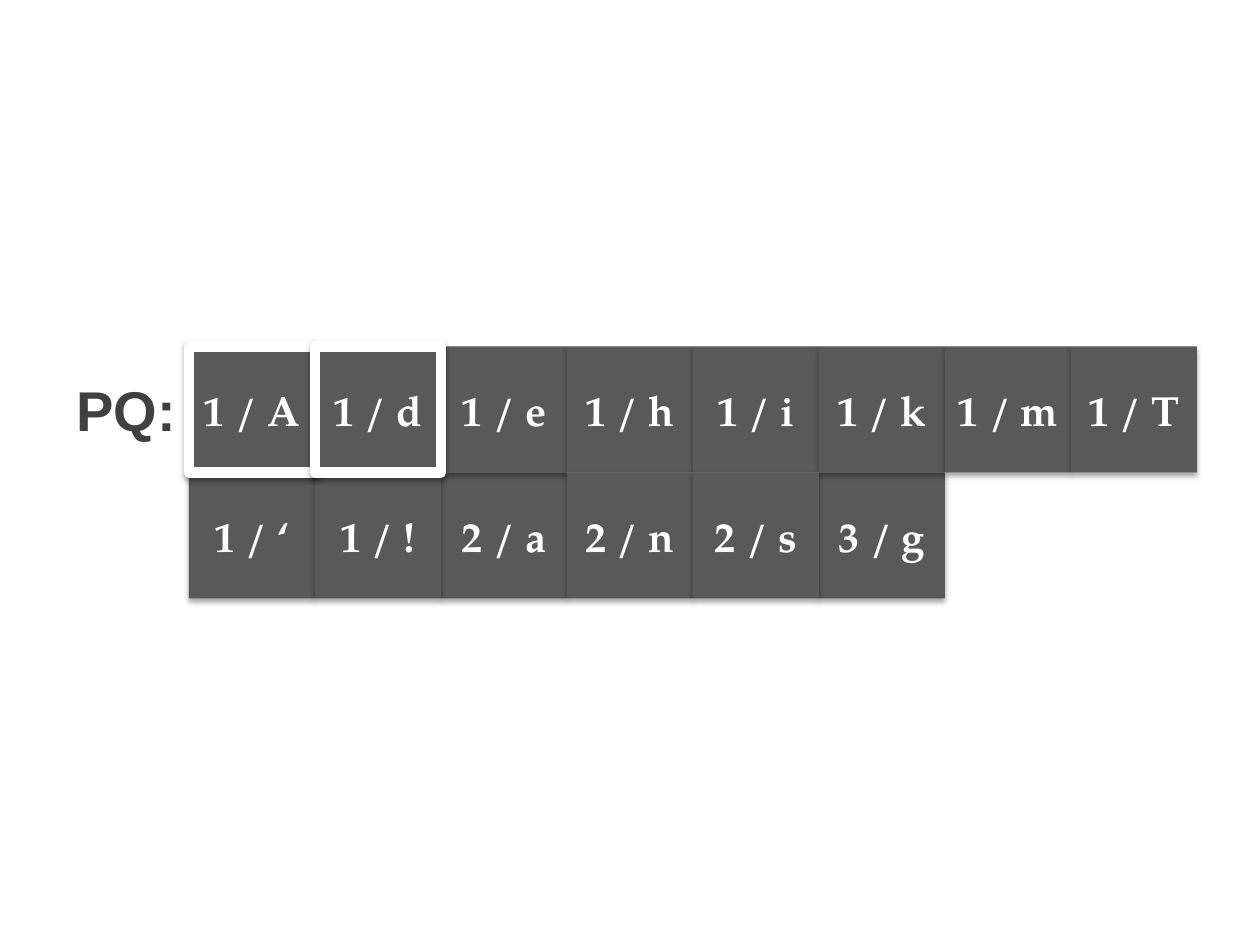
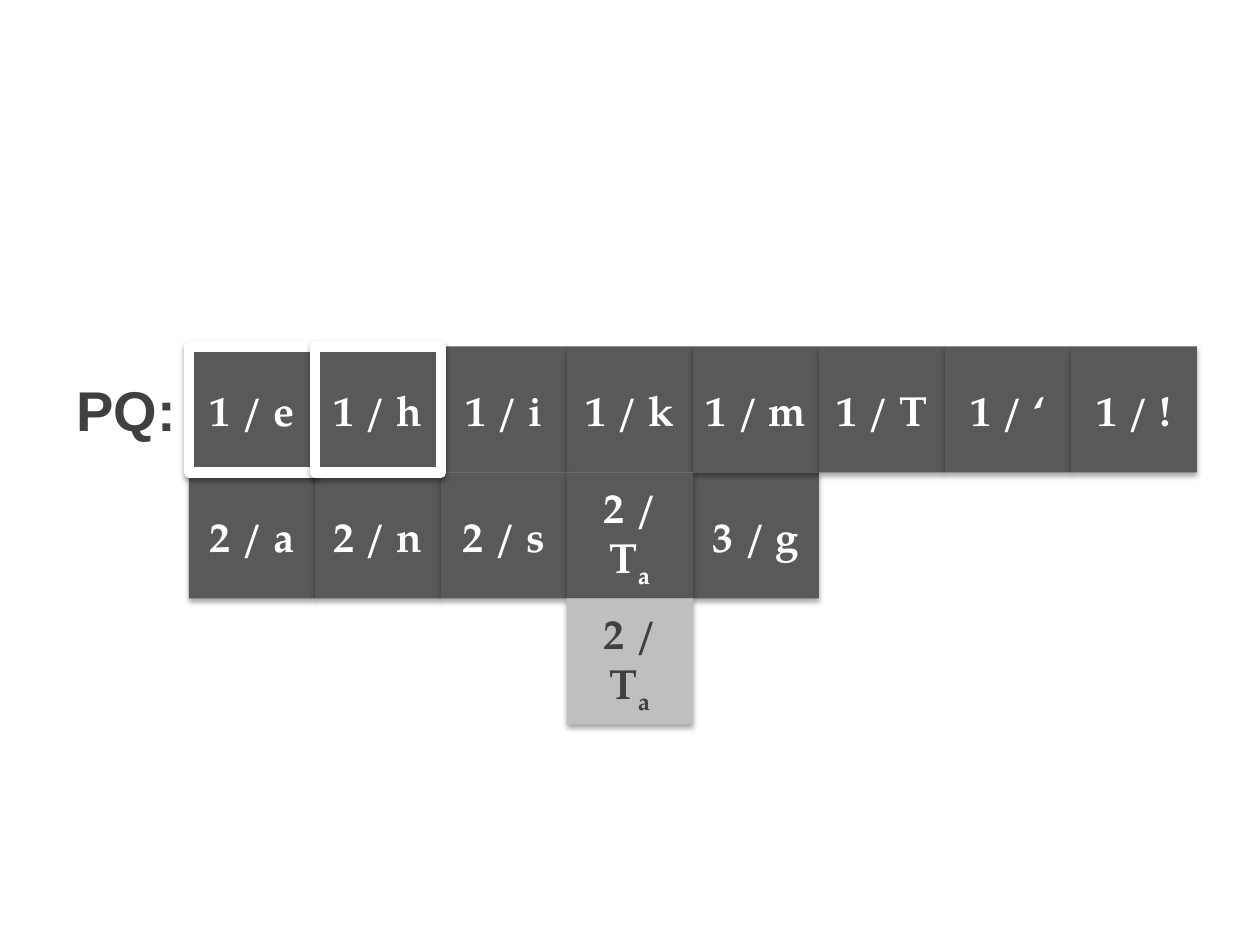
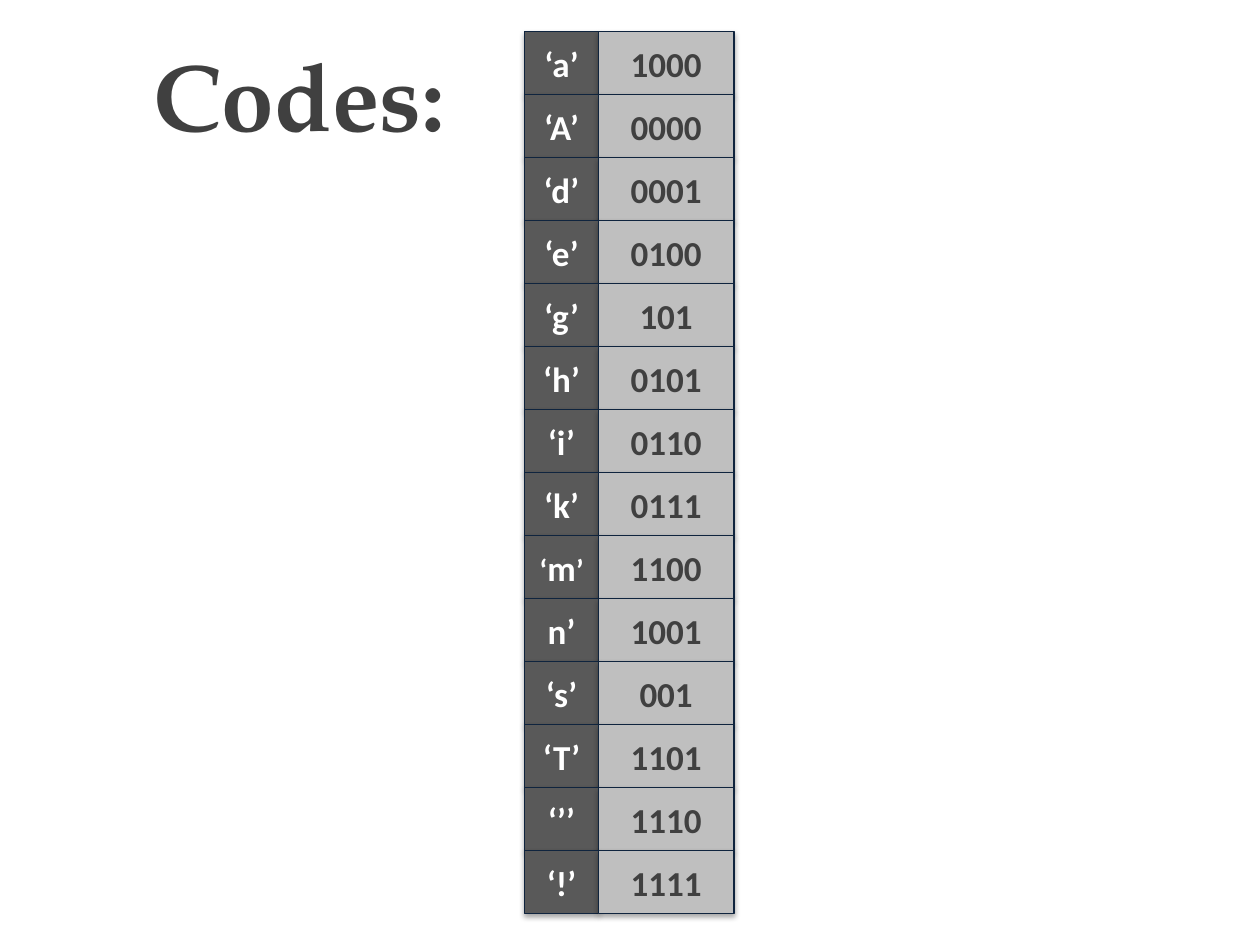
from lxml import etree
from pptx import Presentation
from pptx.dml.color import RGBColor
from pptx.enum.shapes import MSO_SHAPE
from pptx.enum.text import MSO_ANCHOR, MSO_AUTO_SIZE, PP_ALIGN
from pptx.oxml.ns import qn
from pptx.util import Cm, Pt

RECT = MSO_SHAPE.RECTANGLE
MIDDLE = MSO_ANCHOR.MIDDLE
CENTER = PP_ALIGN.CENTER
NO_FIT = MSO_AUTO_SIZE.NONE
TITLE_ONLY = 5

WHITE = RGBColor(0xFF, 0xFF, 0xFF)
INK = RGBColor(0x40, 0x40, 0x40)
DARK = RGBColor(0x59, 0x59, 0x59)
LIGHT = RGBColor(0xBF, 0xBF, 0xBF)
NAVY = RGBColor(0x0F, 0x24, 0x3E)

SERIF, SANS, TABLE_FONT = "TeX Gyre Pagella", "Arial", "Calibri"

UNIT = 2.54                      # side of a queue cell, in cm
QUEUE_LEFT, QUEUE_TOP = 1.5 * UNIT, 2.75 * UNIT
COLUMNS = 8
DRAW_ORDER = ["a", "A", "d", "e", "g", "h", "i", "k", "m", "n", "s",
              "T", "‘", "!", "Ta"]


def write(sp, runs, name, color):
    """Centre bold runs, each given as (text, size, is subscript)."""
    tf = sp.text_frame
    settings = {"word_wrap": True, "auto_size": NO_FIT, "vertical_anchor": MIDDLE}
    for key, value in settings.items():
        setattr(tf, key, value)
    p = tf.paragraphs[0]
    p.alignment = CENTER
    for text, size, subscript in runs:
        r = p.add_run()
        r.text = text
        for key, value in {"name": name, "size": Pt(size), "bold": True}.items():
            setattr(r.font, key, value)
        r.font.color.rgb = color
        if subscript:
            r._r.get_or_add_rPr().set("baseline", "-25000")


def add_shadow(sp):
    """Give a shape a soft shadow that falls straight down."""
    sp.shadow.inherit = False
    effects = sp._element.spPr.find(qn("a:effectLst"))
    shadow = etree.SubElement(effects, qn("a:outerShdw"), blurRad="40000",
                              dist="23000", dir="5400000", rotWithShape="0")
    color = etree.SubElement(shadow, qn("a:srgbClr"), val="000000")
    etree.SubElement(color, qn("a:alpha"), val="35000")


def add_box(s, box, runs, name, fill=DARK, color=WHITE, line=None, width=0.75):
    sp = s.shapes.add_shape(RECT, *map(Cm, box))
    sp.fill.solid()
    sp.fill.fore_color.rgb = fill
    if line is None:
        sp.line.fill.background()
    else:
        sp.line.color.rgb = line
        sp.line.width = Pt(width)
    add_shadow(sp)
    write(sp, runs, name, color)


def add_titled_slide(prs, title, box, name, size):
    s = prs.slides.add_slide(prs.slide_layouts[TITLE_ONLY])
    sp = s.shapes.title
    sp.left, sp.top, sp.width, sp.height = map(Cm, box)
    write(sp, [(title, size, False)], name, INK)
    return s


def add_node(s, left, top, node, **style):
    """One queue cell: frequency / symbol, any second letter as subscript."""
    count, symbol = node
    runs = [(f"{count} / {symbol[0]}", 24, False)]
    if symbol[1:]:
        runs.append((symbol[1:], 24, True))
    add_box(s, (left, top, UNIT, UNIT), runs, SERIF, **style)


def queue_slide(prs, nodes, left, top, merged=None):
    """Priority queue in rows; the two smallest nodes are framed."""
    s = add_titled_slide(prs, "PQ:", (left - UNIT, top, UNIT, UNIT), SANS, 32)
    places = [(left + i % COLUMNS * UNIT, top + i // COLUMNS * UNIT, node)
              for i, node in enumerate(nodes)]
    # Waiting nodes
    for place in sorted(places[2:], key=lambda pl: DRAW_ORDER.index(pl[2][1])):
        add_node(s, *place)
    # The next two nodes to merge
    for place in places[:2]:
        add_node(s, *place, line=WHITE, width=6)
    # Subtree hanging below its node
    if merged:
        x, y, node = places[nodes.index(merged)]
        add_node(s, x, y + UNIT, node, fill=LIGHT, color=INK)


def codes_slide(prs, codes, left, top):
    """Two columns: symbol and its code."""
    s = add_titled_slide(prs, "Codes:", (2.54, 0.61, 6.99, 2.54), SERIF, 54)
    symbol_w, code_w, row_h = 1.48, 2.74, 1.27
    for i, (symbol, code) in enumerate(codes):
        y = top + i * row_h
        runs = [(symbol, 20, False)]
        if symbol == "‘m’":      # smaller quotes keep the wide letter on one line
            runs = [("‘", 17.5, False), ("m", 20, False), ("’", 17.5, False)]
        add_box(s, (left, y, symbol_w, row_h), runs, TABLE_FONT, line=NAVY)
        add_box(s, (left + symbol_w, y, code_w, row_h), [(code, 20, False)],
                TABLE_FONT, fill=LIGHT, color=INK, line=NAVY)


SINGLES = [(1, c) for c in "AdehikmT‘!"]
PAIRS = [(2, c) for c in "ans"]
MERGED = (2, "Ta")
LAST = (3, "g")
CODES = [("‘a’", "1000"), ("‘A’", "0000"), ("‘d’", "0001"), ("‘e’", "0100"),
         ("‘g’", "101"), ("‘h’", "0101"), ("‘i’", "0110"), ("‘k’", "0111"),
         ("‘m’", "1100"), ("n’", "1001"), ("‘s’", "001"), ("‘T’", "1101"),
         ("‘’’", "1110"), ("‘!’", "1111")]

prs = Presentation()
prs.slide_width, prs.slide_height = Cm(25.4), Cm(19.05)

queue_slide(prs, SINGLES + PAIRS + [LAST], QUEUE_LEFT, QUEUE_TOP)
queue_slide(prs, SINGLES[2:] + PAIRS + [MERGED, LAST], QUEUE_LEFT, QUEUE_TOP,
            merged=MERGED)
codes_slide(prs, CODES, 10.58, 0.64)

prs.save("out.pptx")
